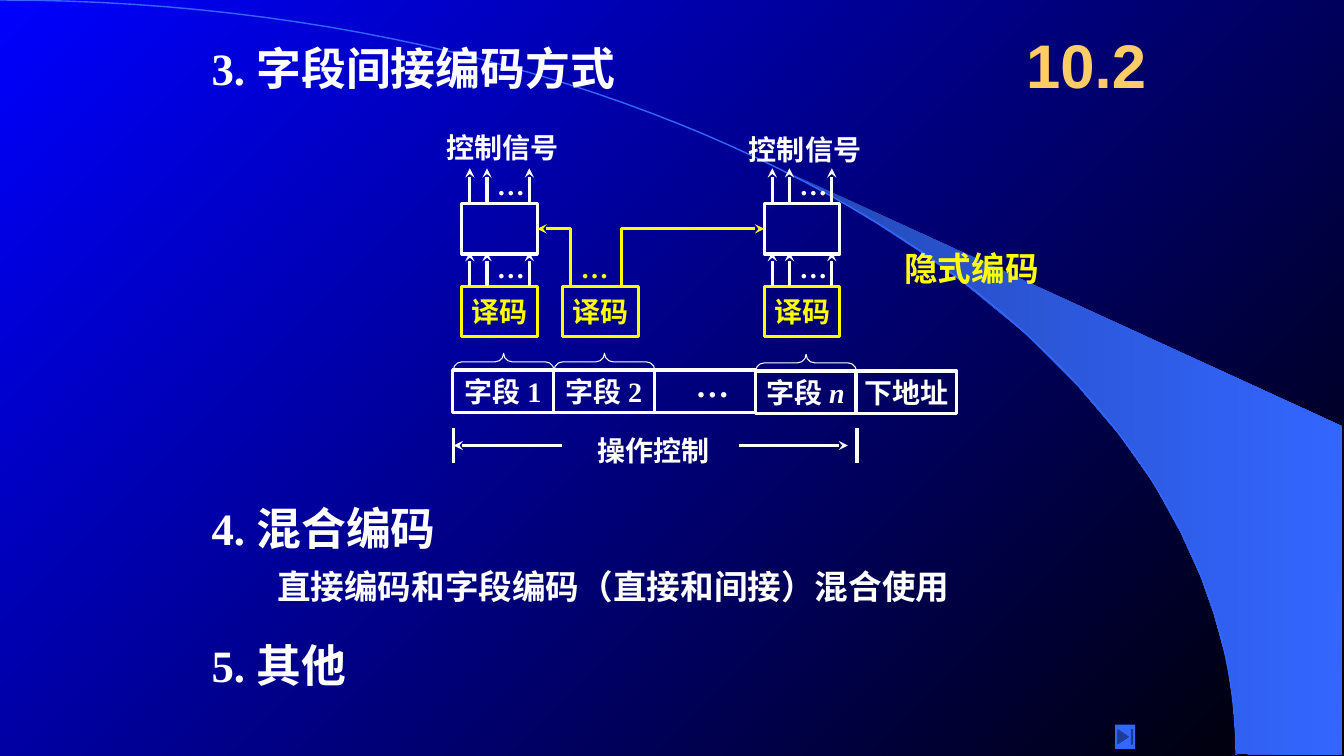
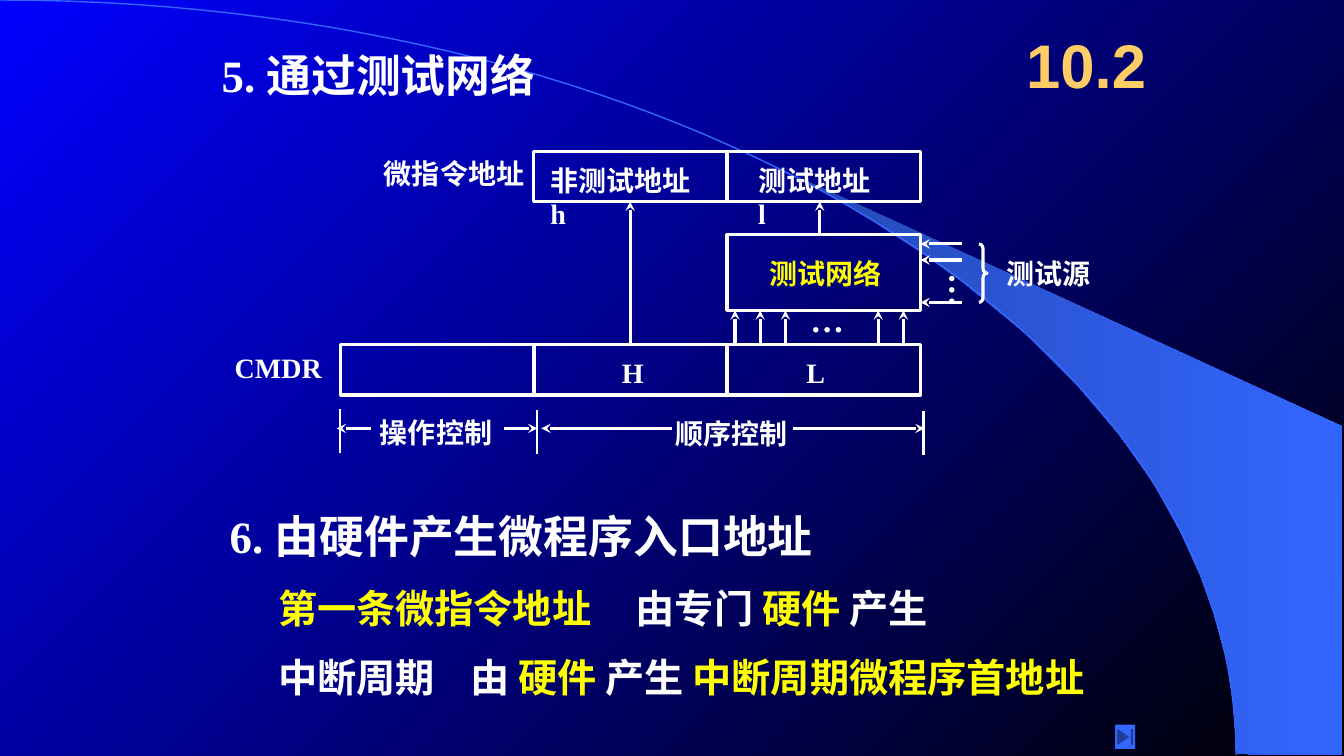
"""Build two slides on microinstruction encoding and address generation."""
import pptx
import pptx.util
import pptx.dml.color
import pptx.enum.shapes
import pptx.enum.text
import pptx.oxml.ns
from lxml import etree

Inches = pptx.util.Inches
Kind = pptx.enum.shapes.MSO_SHAPE
Align = pptx.enum.text.PP_ALIGN
Anchor = pptx.enum.text.MSO_ANCHOR
qn = pptx.oxml.ns.qn

WHITE, YELLOW, GOLD = "FFFFFF", "FFFF00", "FFCC66"
BLUE, DEEP, AZURE, BLACK = "0000FF", "2449B6", "3366FF", "000000"
SERIF, SANS, HEAD = "Times New Roman", "DejaVu Sans", "Arial"

SWOOSH = [(12.27, 7.48), (13.31, 7.49), (13.31, 4.23), (7.86, 1.73), (8.32, 1.99),
          (8.7, 2.22), (9.13, 2.5), (9.55, 2.8), (10.16, 3.3), (10.7, 3.84),
          (11.1, 4.31), (11.44, 4.79), (11.71, 5.28), (11.91, 5.72),
          (12.04, 6.09), (12.17, 6.56), (12.23, 6.96)]
CURVE = [(0, 0), (6.77, 0), (12.26, 3.35), (12.26, 7.49)]
STEPS = 60

CODING = [
    ("3. ", "字段间接编码方式", 2, 0.36, 8.58),
    ("4. ", "混合编码", 2, 4.92, 7.32),
    ("5. ", "其他", 2, 6.28, 6.06),
]
FIELDS = [
    ("字段 1", 3.67, True),
    ("字段 2", 3.67, True),
    ("", 3.67, False),
    ([("字段 ", {}), ("n", {"italic": True})], 3.68, True),
    ("下地址", 3.68, False),
]
BANKS = [(4.58, 1.25), (7.58, 1.27)]
DECODERS = [4.58, 5.58, 7.58]
PINS = [0.08, 0.25, 0.67]
LEVELS = [(2.84, 2.5), (2, 1.67)]
ELBOWS = [[(5.66, 2.85), (5.66, 2.27), (5.33, 2.27)],
          [(6.16, 2.85), (6.16, 2.27), (7.58, 2.27)]]

ADDRESS = [
    ("5. ", "通过测试网络", 2.1, 0.42, 7.95),
    ("6. 由硬件产生", "微程序入口地址", 2.18, 5, 6.99),
]
SOURCES = [
    (5.75, [("第一条微指令地址", YELLOW), ("     由专门 ", WHITE),
            ("硬件 ", YELLOW), ("产生", WHITE)]),
    (6.43, [("中断周期    由 ", WHITE), ("硬件 ", YELLOW),
            ("产生 ", WHITE), ("中断周期微程序首地址", YELLOW)]),
]
CELLS = [(1, 1.5, 0.5), (2, 1.5, 0.5), (2, 2.33, 0.75),
         (0, 3.42, 0.5), (1, 3.42, 0.5), (2, 3.42, 0.5)]
LABELS = [
    ("非测试地址 h", 5.36, 1.57, 1.7, WHITE),
    ("测试地址 l", 7.42, 1.57, 1.35, WHITE),
    ("测试网络", 7.53, 2.5, 1.4, YELLOW),
    ("测试源", 9.88, 2.5, 1.1, WHITE),
    ("微指令地址", 3.71, 1.5, 1.65, WHITE),
    ("CMDR", 2.23, 3.43, 1.1, WHITE),
    ("操作控制", 3.67, 4.07, 1.4, WHITE),
    ("顺序控制", 6.6, 4.08, 1.4, WHITE),
    ("H", 6.07, 3.48, 0.45, WHITE),
    ("L", 7.9, 3.48, 0.45, WHITE),
]
INPUTS = [7.29, 7.54, 7.79, 8.71, 8.96]
TESTS = [2.42, 2.58, 3]
TICKS = [(3.37, 4.06), (5.33, 4.07), (9.16, 4.08)]
SPANS = [(5, 5.33), (3.68, 3.34), (7.87, 9.17), (6.67, 5.37)]


def paint(color):
    return pptx.dml.color.RGBColor.from_string(color)


def blend(fill, first, last, angle):
    fill.gradient()
    fill.gradient_angle = angle
    for stop, color in zip(fill.gradient_stops, (first, last)):
        stop.color.rgb = paint(color)


def say(frame, text, size=20, color=WHITE, font=SERIF, align=Align.LEFT,
        anchor=Anchor.TOP):
    frame.word_wrap = True
    frame.vertical_anchor = anchor
    para = frame.paragraphs[0]
    para.alignment = align
    for words, change in [(text, {})] if isinstance(text, str) else text:
        run = para.add_run()
        run.text = words
        run.font.size = pptx.util.Pt(size)
        run.font.bold = True
        run.font.italic = change.get("italic")
        run.font.name = change.get("font", font)
        run.font.color.rgb = paint(change.get("color", color))


def label(slide, text, x, y, w, h=0.43, **style):
    area = slide.shapes.add_textbox(*map(Inches, (x, y, w, h)))
    say(area.text_frame, text, **style)
    return area


def title(slide, number, text, x, y, w):
    label(slide, [(number, {}), (text, {"font": SANS})], x, y, w, 0.63, size=32)


def stroke(item, color, width, arrow):
    item.line.color.rgb = paint(color)
    item.line.width = pptx.util.Pt(width)
    if arrow:
        line = item.element.spPr.find(qn("a:ln"))
        etree.SubElement(line, qn("a:tailEnd"), type="stealth")


def link(slide, x1, y1, x2, y2, arrow=True, width=2.25):
    item = slide.shapes.add_connector(
        pptx.enum.shapes.MSO_CONNECTOR.STRAIGHT, *map(Inches, (x1, y1, x2, y2)))
    stroke(item, WHITE, width, arrow)
    etree.SubElement(item.element.spPr, qn("a:effectLst"))


def shape(slide, kind, x, y, w, h, color=WHITE, width=2.25):
    item = slide.shapes.add_shape(kind, *map(Inches, (x, y, w, h)))
    item.shadow.inherit = False
    item.fill.background()
    stroke(item, color, width, False)
    return item


def box(slide, x, y, w, h, text="", color=WHITE):
    item = shape(slide, Kind.RECTANGLE, x, y, w, h, color)
    if text:
        item.text_frame.margin_left = item.text_frame.margin_right = 0
        say(item.text_frame, text, color=color, align=Align.CENTER,
            anchor=Anchor.MIDDLE)


def brace(slide, kind, x, y, w, h, bend, width, turn=0):
    item = shape(slide, kind, x, y, w, h, width=width)
    item.adjustments[0] = bend
    item.rotation = turn


def trace(slide, points, close=False):
    spots = [(Inches(x), Inches(y)) for x, y in points]
    maker = slide.shapes.build_freeform(*spots[0])
    maker.add_line_segments(spots[1:], close=close)
    item = maker.convert_to_shape()
    item.shadow.inherit = False
    item.fill.background()
    return item


def bezier(t):
    parts = ((1 - t) ** 3, 3 * t * (1 - t) ** 2, 3 * t * t * (1 - t), t ** 3)
    return tuple(sum(p * spot[axis] for p, spot in zip(parts, CURVE))
                 for axis in (0, 1))


def begin(deck):
    slide = deck.slides.add_slide(deck.slide_layouts[6])
    sweep = trace(slide, SWOOSH, True)
    blend(sweep.fill, DEEP, AZURE, 0)
    sweep.line.fill.background()
    arc = trace(slide, [bezier(i / STEPS) for i in range(STEPS + 1)])
    stroke(arc, AZURE, 1, False)
    label(slide, "10.2", 10.08, 0.17, 1.58, 0.92, size=44, color=GOLD,
          font=HEAD, anchor=Anchor.MIDDLE)
    button = shape(slide, Kind.ACTION_BUTTON_END, 11.06, 7.19, 0.2, 0.24)
    button.fill.solid()
    button.fill.fore_color.rgb = paint(AZURE)
    button.line.fill.background()
    return slide


def coding(slide):
    for row in CODING:
        title(slide, *row)
    label(slide, "直接编码和字段编码（直接和间接）混合使用", 2.65, 5.57, 8.35, 0.5,
          size=24, font=SANS)
    label(slide, "隐式编码", 8.87, 2.41, 2.36, 0.5, size=24, color=YELLOW)
    for i, (text, y, mark) in enumerate(FIELDS):
        x = 4.49 + i
        box(slide, x, y, 1, 0.42, text)
        if mark:
            brace(slide, Kind.LEFT_BRACE, x + 0.42, y - 0.58, 0.17, 1, 0.5, 0.75, 90)
    label(slide, "…", 6.8, 3.56, 0.55, 0.5, size=24)
    for x in DECODERS:
        box(slide, x, 2.84, 0.75, 0.5, "译码", YELLOW)
    for x, y in BANKS:
        label(slide, "控制信号", x - 0.25, y, 1.4)
        box(slide, x, 2.02, 0.75, 0.5)
        for low, high in LEVELS:
            label(slide, "…", x + 0.25, high - 0.06, 0.5)
            for pin in PINS:
                link(slide, x + pin, low, x + pin, high)
    label(slide, "…", 5.66, 2.44, 0.5, color=YELLOW)
    for points in ELBOWS:
        stroke(trace(slide, points), YELLOW, 2.25, True)
    for x in (4.5, 8.5):
        link(slide, x, 4.25, x, 4.59, False)
    link(slide, 5.57, 4.42, 4.5, 4.42)
    link(slide, 7.33, 4.42, 8.41, 4.42)
    label(slide, "操作控制", 5.83, 4.25, 1.4)


def address(slide):
    for row in ADDRESS:
        title(slide, *row)
    for y, parts in SOURCES:
        runs = [(text, {"color": color}) for text, color in parts]
        label(slide, runs, 2.66, y, 8.64, 0.57, size=28, font=SANS)
    for column, y, h in CELLS:
        box(slide, 3.38 + 1.915 * column, y, 1.92, h)
    for text, x, y, w, color in LABELS:
        label(slide, text, x, y, w, color=color)
    for x in INPUTS:
        link(slide, x, 3.42, x, 3.08)
    label(slide, "…", 7.94, 2.92, 0.55, 0.5, size=24)
    link(slide, 8.13, 2.33, 8.13, 2)
    link(slide, 6.25, 3.42, 6.25, 2)
    for y in TESTS:
        link(slide, 9.54, y, 9.13, y)
    dots = label(slide, "…", 9.19, 2.62, 0.61, 0.46, size=24)
    dots.element.txBody.bodyPr.set("vert", "eaVert")
    brace(slide, Kind.RIGHT_BRACE, 9.71, 2.42, 0.08, 0.58, 0.58, 2.25)
    for x, y in TICKS:
        link(slide, x, y, x, y + 0.43, False, 1.5)
    for start, end in SPANS:
        link(slide, start, 4.25, end, 4.25)


def main():
    deck = pptx.Presentation()
    deck.slide_width, deck.slide_height = Inches(13.33), Inches(7.5)
    blend(deck.slide_master.background.fill, BLUE, BLACK, 315)
    for draw in (coding, address):
        draw(begin(deck))
    deck.save("out.pptx")


if __name__ == "__main__":
    main()
